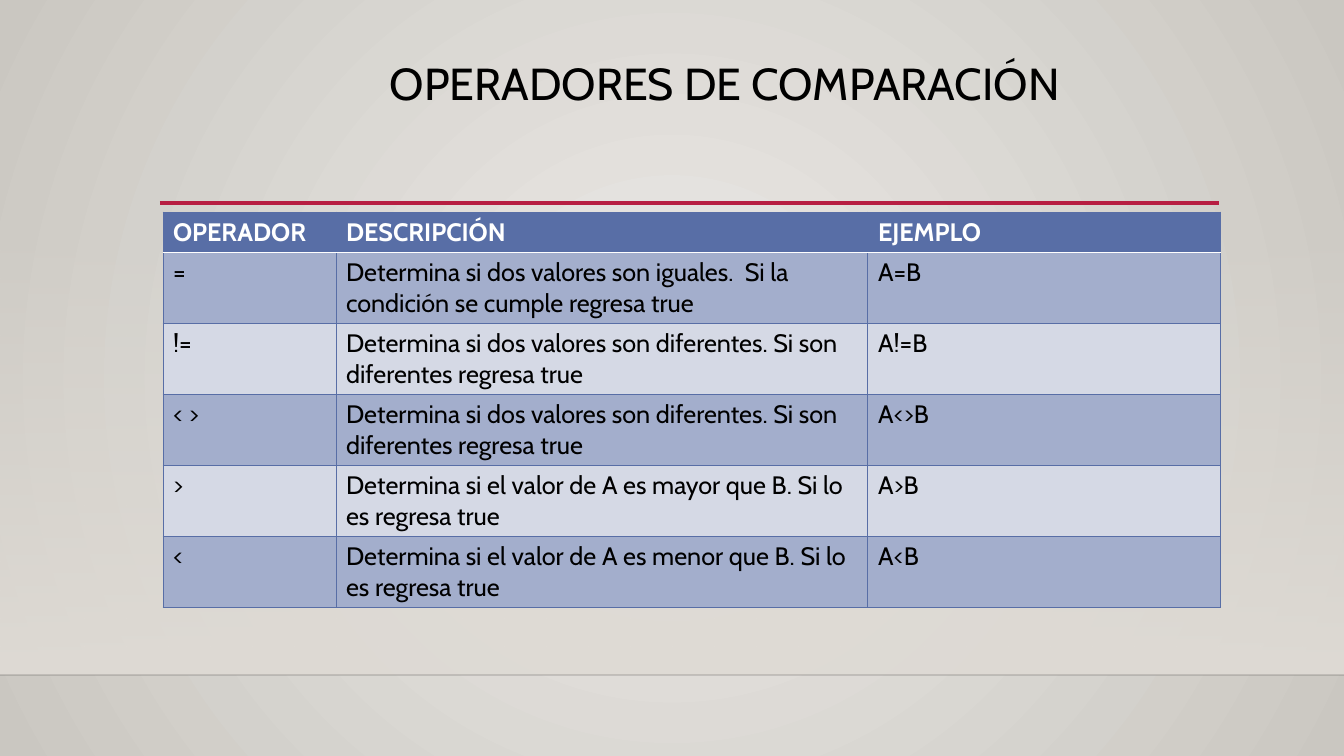
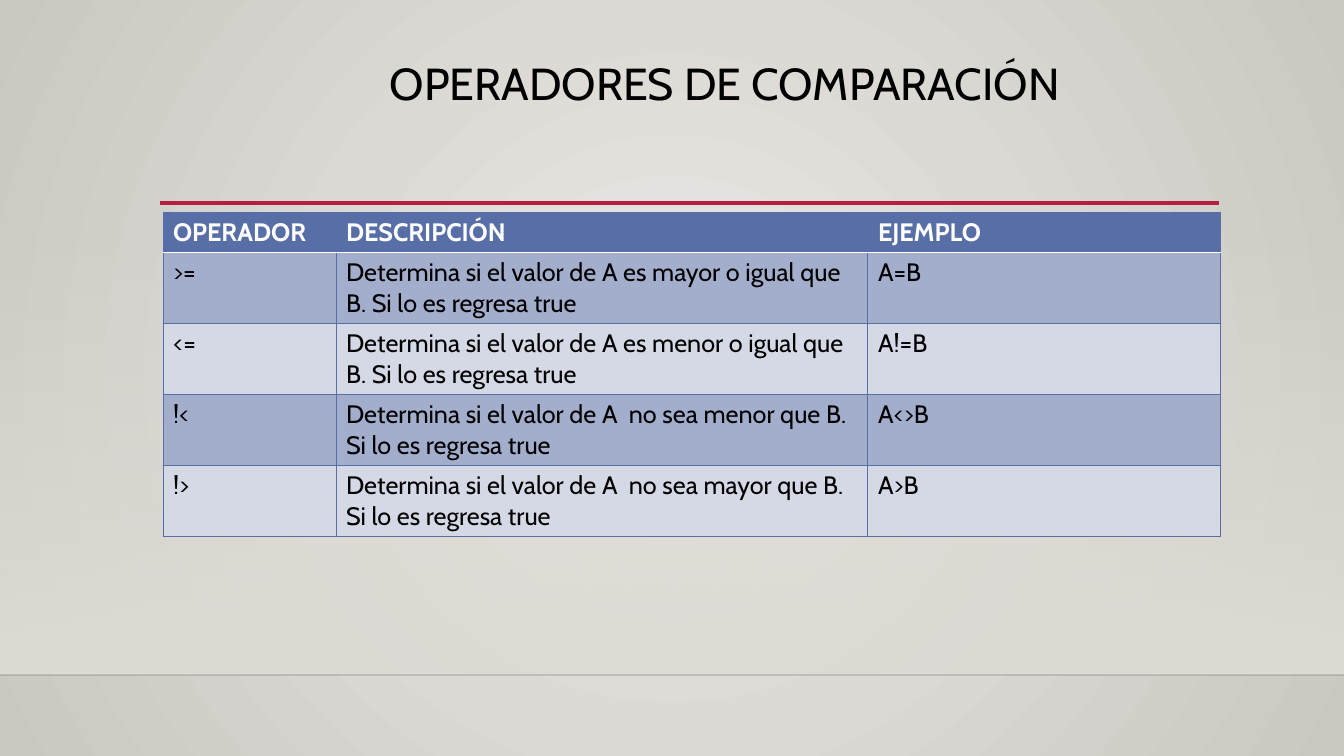
from lxml.etree import SubElement
from pptx import Presentation
from pptx.dml.color import RGBColor
from pptx.enum.shapes import MSO_CONNECTOR, MSO_SHAPE
from pptx.enum.text import PP_ALIGN
from pptx.oxml.ns import qn
from pptx.util import Emu, Pt

COLORS = {
    "glow": "ECEAE7", "edge": "CAC7C1", "band": "DFDBD5", "floor": "000001",
    "rule": "B71E42", "head": "586EA6", "odd": "A3AECC", "even": "D5D9E5",
    "ink": "000000", "white": "FFFFFF",
}
FORMATS = {
    "title": {"name": "Cabin", "size": Pt(32), "bold": False},
    "head": {"name": "Cabin", "size": Pt(18), "bold": True},
    "body": {"name": "Cabin", "size": Pt(18), "bold": False},
}
TITLE = "OPERADORES DE COMPARACIÓN"
HEADS = ["OPERADOR", "DESCRIPCIÓN", "EJEMPLO"]
WIDTHS = [173, 532, 353]
PAGES = [
    [
        ["=", "Determina si dos valores son iguales.  Si la condición se cumple regresa true", "A=B"],
        ["!=", "Determina si dos valores son diferentes. Si son diferentes regresa true", "A!=B"],
        ["< >", "Determina si dos valores son diferentes. Si son diferentes regresa true", "A<>B"],
        [">", "Determina si el valor de A es mayor que B. Si lo es regresa true", "A>B"],
        ["<", "Determina si el valor de A es menor que B. Si lo es regresa true", "A<B"],
    ],
    [
        [">=", "Determina si el valor de A es mayor o igual que B. Si lo es regresa true", "A=B"],
        ["<=", "Determina si el valor de A es menor o igual que B. Si lo es regresa true", "A!=B"],
        ["!<", "Determina si el valor de A  no sea menor que B. Si lo es regresa true", "A<>B"],
        ["!>", "Determina si el valor de A  no sea mayor que B. Si lo es regresa true", "A>B"],
    ],
]


def px(count):
    return Emu(round(count * 914400 / 100.8))


def tint(name):
    return RGBColor.from_string(COLORS[name])


def fade(root, share):
    color = next(root.iter(qn("a:srgbClr")))
    SubElement(color, qn("a:alpha"), val=str(share * 1000))


class Deck:
    def __init__(self, width, height):
        self.show = Presentation()
        self.show.slide_width = px(width)
        self.show.slide_height = px(height)
        self.slide = None
        self.backdrop()

    def blend(self, fill, root, names):
        fill.gradient()
        for stop, name in zip(fill.gradient_stops, names):
            stop.color.rgb = tint(name)
        return next(root.iter(qn("a:gradFill")))

    def backdrop(self):
        master = self.show.slide_master
        grad = self.blend(master.background.fill, master.element, ["glow", "edge"])
        grad.remove(grad.find(qn("a:lin")))
        way = SubElement(grad, qn("a:path"), path="circle")
        SubElement(way, qn("a:fillToRect"), l="50000", t="50000", r="50000", b="50000")

    def page(self):
        self.slide = self.show.slides.add_slide(self.show.slide_layouts[6])
        self.band(0, 223, 1344, 452)
        self.line(0, 1344, 675, "floor", 1, 20)
        self.line(160, 1219, 203, "rule", 2.5)

    def band(self, left, top, width, height):
        shape = self.slide.shapes.add_shape(
            MSO_SHAPE.RECTANGLE, px(left), px(top), px(width), px(height))
        shape.shadow.inherit = False
        shape.line.fill.background()
        grad = self.blend(shape.fill, shape.element, ["band", "band"])
        shape.fill.gradient_angle = 270
        fade(grad, 0)

    def line(self, start, end, top, color, weight, share=100):
        line = self.slide.shapes.add_connector(
            MSO_CONNECTOR.STRAIGHT, px(start), px(top), px(end), px(top))
        line.line.color.rgb = tint(color)
        line.line.width = Pt(weight)
        fade(line.element, share)
        SubElement(line.element.find(qn("p:spPr")), qn("a:effectLst"))

    def text(self, frame, words, style, color):
        para = frame.paragraphs[0]
        run = para.add_run()
        run.text = words
        for key, value in FORMATS[style].items():
            setattr(run.font, key, value)
        run.font.color.rgb = tint(color)
        return para

    def title(self, words):
        box = self.slide.shapes.add_textbox(px(317), px(57), px(816), px(141))
        box.text_frame.word_wrap = True
        para = self.text(box.text_frame, words, "title", "ink")
        para.alignment = PP_ALIGN.CENTER
        para.line_spacing = 0.9

    def border(self, cell, side, color, weight):
        props = cell._tc.get_or_add_tcPr()
        edge = SubElement(props, qn("a:ln" + side), w=str(Pt(weight)))
        fill = SubElement(edge, qn("a:solidFill"))
        SubElement(fill, qn("a:srgbClr"), val=COLORS[color])

    def cell(self, cell, words, row):
        split = {0: "B", 1: "T"}.get(row)
        for side in "LRTB":
            look = ("white", 1.25) if side == split else ("head", 0.75)
            self.border(cell, side, *look)
        cell.fill.solid()
        shade = "head" if row == 0 else "odd" if row % 2 else "even"
        cell.fill.fore_color.rgb = tint(shade)
        style, color = ("body", "ink") if row else ("head", "white")
        self.text(cell.text_frame, words, style, color)

    def table(self, rows):
        size = 40 + 71 * (len(rows) - 1)
        table = self.slide.shapes.add_table(
            len(rows), len(WIDTHS), px(163), px(212), px(sum(WIDTHS)), px(size)).table
        table.horz_banding = False
        for column, width in zip(table.columns, WIDTHS):
            column.width = px(width)
        for row, texts in enumerate(rows):
            table.rows[row].height = px(71 if row else 40)
            for column, words in enumerate(texts):
                self.cell(table.cell(row, column), words, row)


def main():
    deck = Deck(1344, 756)
    for rows in PAGES:
        deck.page()
        deck.title(TITLE)
        deck.table([HEADS] + rows)
    deck.show.save("out.pptx")


if __name__ == "__main__":
    main()
